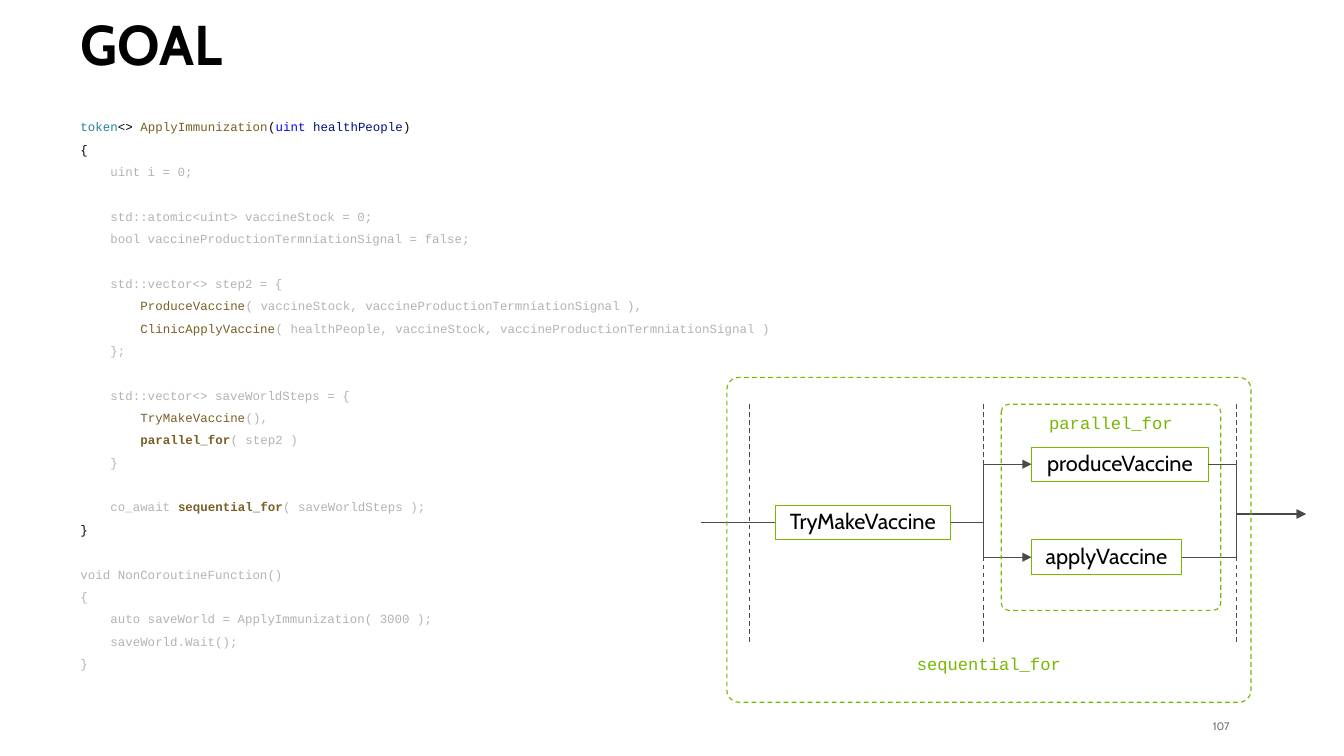
from dataclasses import dataclass

from lxml import etree
from pptx import Presentation
from pptx.dml.color import RGBColor
from pptx.enum.dml import MSO_LINE
from pptx.enum.shapes import MSO_CONNECTOR, MSO_SHAPE
from pptx.enum.text import MSO_ANCHOR, MSO_AUTO_SIZE, PP_ALIGN
from pptx.oxml.ns import qn
from pptx.util import Pt

STRAIGHT, ELBOW = MSO_CONNECTOR.STRAIGHT, MSO_CONNECTOR.ELBOW
RECTANGLE, ROUNDED = MSO_SHAPE.RECTANGLE, MSO_SHAPE.ROUNDED_RECTANGLE
TOP, MIDDLE, BOTTOM = MSO_ANCHOR.TOP, MSO_ANCHOR.MIDDLE, MSO_ANCHOR.BOTTOM
LEFT, CENTER, RIGHT = PP_ALIGN.LEFT, PP_ALIGN.CENTER, PP_ALIGN.RIGHT
DASH = MSO_LINE.DASH
NO_AUTOFIT = MSO_AUTO_SIZE.NONE
LEFT_SITE, RIGHT_SITE = 1, 3
TITLE_ONLY = 5


@dataclass(frozen=True)
class Theme:
    sans: str = "Cabin"
    mono: str = "Courier New"
    black: str = "000000"
    faded: str = "B3B3B3"
    type_name: str = "267F99"
    function: str = "795E26"
    keyword: str = "0000FF"
    parameter: str = "001080"
    green: str = "76B900"
    wire: str = "4A4A4A"
    number: str = "6E6E6E"
    title_size: float = 36
    task_size: float = 14
    label_size: float = 11
    code_size: float = 8
    number_size: float = 7
    code_line: float = 14.4
    task_border: float = 0.5
    line_width: float = 0.75


THEME = Theme()
BLACK, FADED, FUNCTION = THEME.black, THEME.faded, THEME.function
BOLD_CALLS = {"parallel_for", "sequential_for"}

# Blocks are separated by one line; a code line is a list of (text, colour).
CODE_BLOCKS = [
    [
        [("token", THEME.type_name), ("<> ", BLACK), ("ApplyImmunization", FUNCTION),
         ("(", BLACK), ("uint ", THEME.keyword), ("healthPeople", THEME.parameter),
         (")", BLACK)],
        [("{", BLACK)],
        [("    uint i = 0;", FADED)],
    ],
    [
        [("    std::atomic<uint> vaccineStock = 0;", FADED)],
        [("    bool vaccineProductionTermniationSignal = false;", FADED)],
    ],
    [
        [("    std::vector<> step2 = {", FADED)],
        [("        ", BLACK), ("ProduceVaccine", FUNCTION),
         ("( vaccineStock, vaccineProductionTermniationSignal ),", FADED)],
        [("        ", BLACK), ("ClinicApplyVaccine", FUNCTION),
         ("( healthPeople, vaccineStock, vaccineProductionTermniationSignal )", FADED)],
        [("    };", FADED)],
    ],
    [
        [("    std::vector<> saveWorldSteps = {", FADED)],
        [("        ", BLACK), ("TryMakeVaccine", FUNCTION), ("(),", FADED)],
        [("        ", BLACK), ("parallel_for", FUNCTION), ("( step2 )", FADED)],
        [("    }", FADED)],
    ],
    [
        [("    co_await ", FADED), ("sequential_for", FUNCTION),
         ("( saveWorldSteps );", FADED)],
        [("}", BLACK)],
    ],
    [
        [("void NonCoroutineFunction()", FADED)],
        [("{", FADED)],
        [("    auto saveWorld = ApplyImmunization( 3000 );", FADED)],
        [("    saveWorld.Wait();", FADED)],
        [("}", FADED)],
    ],
]


def side_middle(box, site):
    x = box.left if site == LEFT_SITE else box.left + box.width
    return x, box.top + box.height // 2


class SlideBuilder:
    def __init__(self, slide, theme):
        self.slide = slide
        self.theme = theme

    def style_font(self, font, name, size, color, bold=False):
        font.name, font.size, font.bold = name, Pt(size), bold
        font.color.rgb = RGBColor.from_string(color)

    def fill_text(self, frame, text, name, size, color, align, anchor, bold=False):
        frame.text = text
        frame.vertical_anchor = anchor
        paragraph = frame.paragraphs[0]
        paragraph.alignment = align
        self.style_font(paragraph.runs[0].font, name, size, color, bold)
        return paragraph

    def stroke(self, line, color, width, dash=None):
        line.color.rgb = RGBColor.from_string(color)
        line.width = Pt(width)
        if dash:
            line.dash_style = dash

    def title(self, text, *bounds):
        title = self.slide.shapes.title
        title.left, title.top, title.width, title.height = map(Pt, bounds)
        title.text_frame.auto_size = NO_AUTOFIT
        self.fill_text(title.text_frame, text, self.theme.sans, self.theme.title_size,
                       self.theme.black, LEFT, BOTTOM, bold=True).line_spacing = 0.9

    def page_number(self, text, *bounds):
        frame = self.slide.shapes.add_textbox(*map(Pt, bounds)).text_frame
        frame.margin_left = frame.margin_right = 0
        frame.margin_top = frame.margin_bottom = 0
        frame.word_wrap = True
        self.fill_text(frame, text, self.theme.sans, self.theme.number_size,
                       self.theme.number, RIGHT, MIDDLE)

    def code(self, blocks, *bounds):
        frame = self.slide.shapes.add_textbox(*map(Pt, bounds)).text_frame
        frame.word_wrap = True
        for block_index, block in enumerate(blocks):
            for line_index, pieces in enumerate(block):
                first = block_index == line_index == 0
                paragraph = frame.paragraphs[0] if first else frame.add_paragraph()
                paragraph.line_spacing = 1.5
                if block_index and line_index == 0:
                    paragraph.space_before = Pt(self.theme.code_line)
                for text, color in pieces:
                    run = paragraph.add_run()
                    run.text = text
                    self.style_font(run.font, self.theme.mono, self.theme.code_size,
                                    color, text in BOLD_CALLS)

    def outline(self, kind, bounds, width, dash=None):
        shape = self.slide.shapes.add_shape(kind, *map(Pt, bounds))
        shape.shadow.inherit = False
        shape.fill.background()
        self.stroke(shape.line, self.theme.green, width, dash)
        return shape

    def task(self, text, *bounds):
        box = self.outline(RECTANGLE, bounds, self.theme.task_border)
        box.text_frame.word_wrap = False
        self.fill_text(box.text_frame, text, self.theme.sans, self.theme.task_size,
                       self.theme.black, CENTER, MIDDLE).line_spacing = 0.9
        return box

    def group_frame(self, text, anchor, bottom_margin, *bounds):
        frame = self.outline(ROUNDED, bounds, self.theme.line_width, DASH)
        frame.adjustments[0] = 0.037
        frame.text_frame.margin_bottom = Pt(bottom_margin)
        self.fill_text(frame.text_frame, text, self.theme.mono, self.theme.label_size,
                       self.theme.green, CENTER, anchor)

    def wire(self, kind, start, end, dash=None):
        connector = self.slide.shapes.add_connector(kind, *start, *end)
        etree.SubElement(connector._element.spPr, qn("a:effectLst"))
        self.stroke(connector.line, self.theme.wire, self.theme.line_width, dash)
        return connector

    def elbow_arrow(self, start, end, bend_x):
        """Draw an arrow whose vertical part lies at bend_x."""
        arrow = self.wire(ELBOW, start, end)
        ratio = round((bend_x - start[0]) / (end[0] - start[0]) * 100000)
        geometry = arrow._element.spPr.find(qn("a:prstGeom"))
        guides = geometry.find(qn("a:avLst"))
        if guides is None:
            guides = etree.SubElement(geometry, qn("a:avLst"))
        etree.SubElement(guides, qn("a:gd"), name="adj1", fmla=f"val {ratio}")
        line = arrow._element.spPr.find(qn("a:ln"))
        etree.SubElement(line, qn("a:tailEnd"), type="triangle")
        return arrow


def main():
    deck = Presentation()
    deck.slide_width, deck.slide_height = Pt(864), Pt(486)
    slide = deck.slides.add_slide(deck.slide_layouts[TITLE_ONLY])
    builder = SlideBuilder(slide, THEME)

    builder.page_number("107", 767.5, 461.5, 23, 10.8)
    builder.title("GOAL", 44.64, 6.48, 460, 46.8)
    builder.code(CODE_BLOCKS, 44.64, 68.4, 547.2, 383.8)

    make = builder.task("TryMakeVaccine", 498.24, 324.72, 113.04, 22.32)
    produce = builder.task("produceVaccine", 663.12, 287.28, 113.76, 22.32)
    apply = builder.task("applyVaccine", 663.12, 347.04, 96.48, 22.32)

    stage_start, stage_split, stage_join = Pt(481.68), Pt(632.16), Pt(794.88)
    for x in (stage_start, stage_split, stage_join):
        builder.wire(STRAIGHT, (x, Pt(259.92)), (x, Pt(414)), DASH)

    make_entry = side_middle(make, LEFT_SITE)
    entry = builder.wire(STRAIGHT, make_entry, (Pt(450.72), make_entry[1]))
    entry.begin_connect(make, LEFT_SITE)

    flow_exit = (Pt(839.52), Pt(330.48))
    for step in (produce, apply):
        fork = builder.elbow_arrow(side_middle(make, RIGHT_SITE),
                                   side_middle(step, LEFT_SITE), stage_split)
        fork.begin_connect(make, RIGHT_SITE)
        fork.end_connect(step, LEFT_SITE)
        merge = builder.elbow_arrow(side_middle(step, RIGHT_SITE), flow_exit, stage_join)
        merge.begin_connect(step, RIGHT_SITE)

    builder.group_frame("parallel_for", TOP, 3.6, 643.68, 259.92, 141.12, 132.48)
    builder.group_frame("sequential_for", BOTTOM, 16, 467.28, 242.64, 336.96, 208.8)
    deck.save("out.pptx")


if __name__ == "__main__":
    main()
